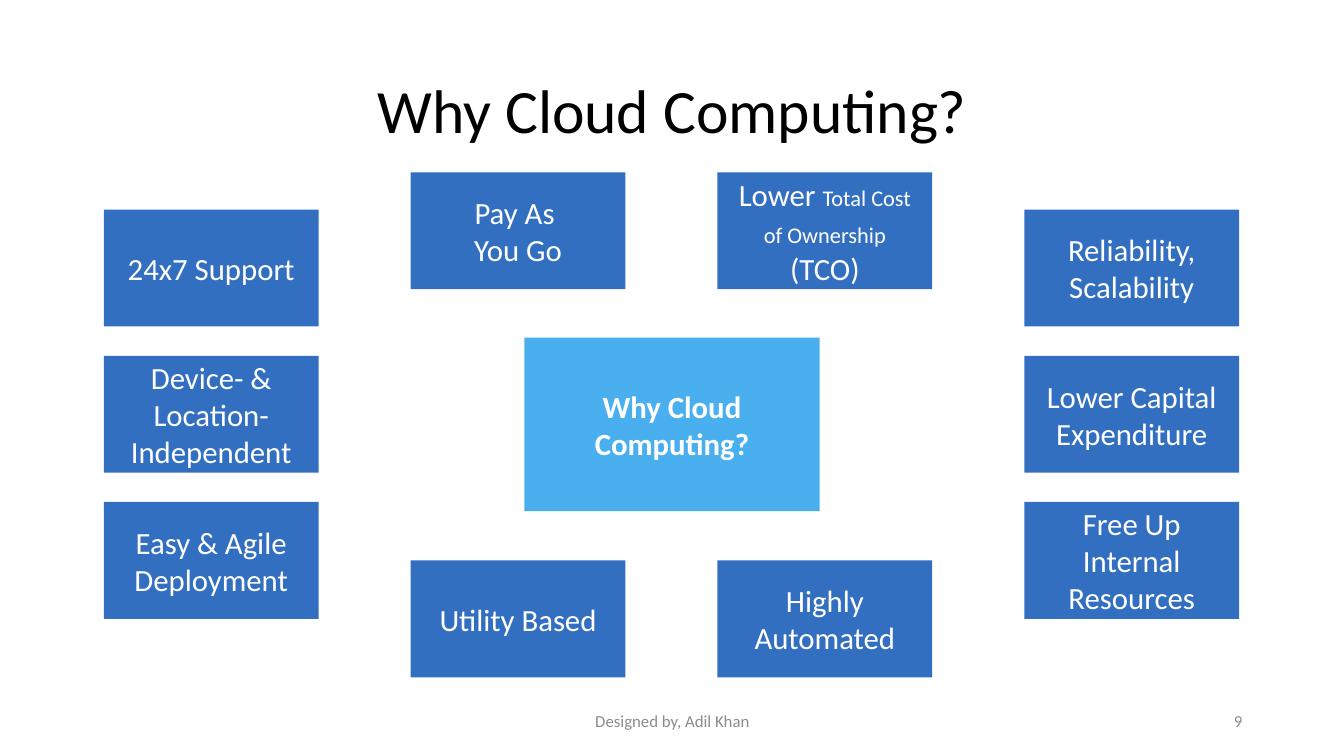
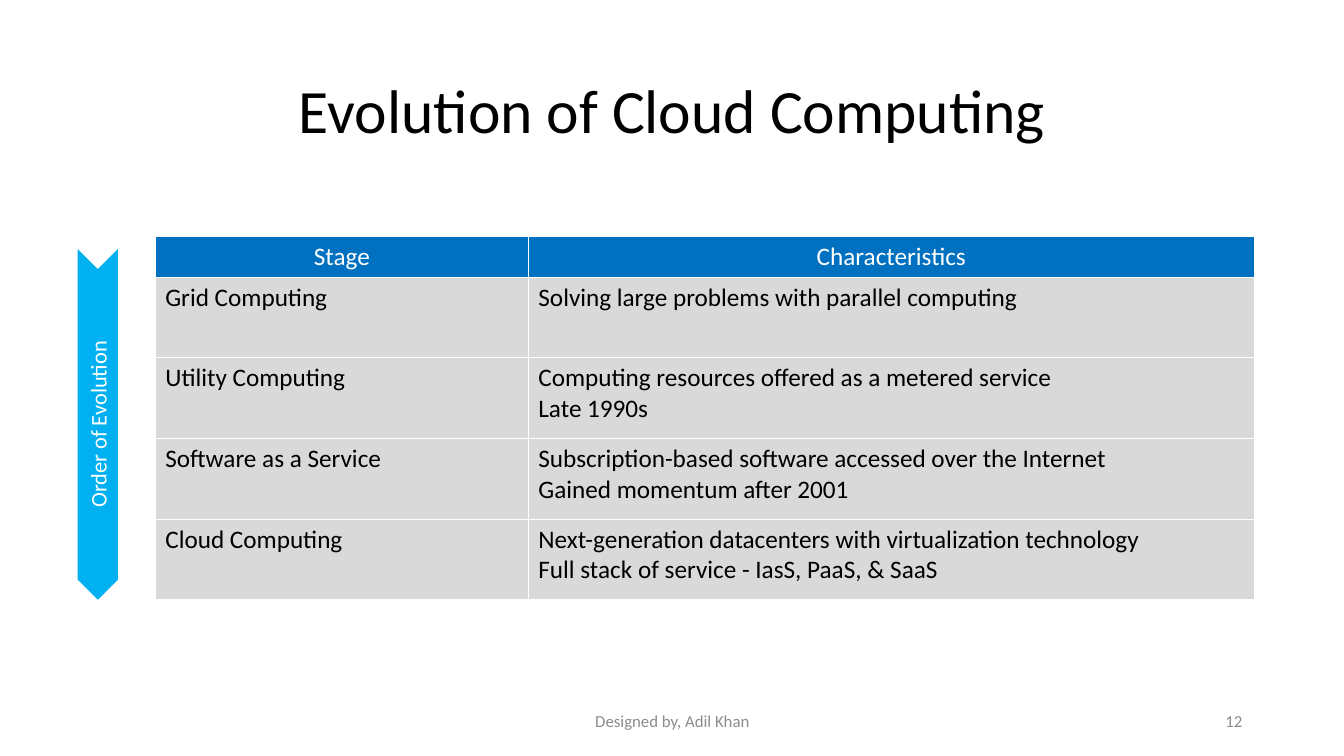
import pptx
import pptx.util
import pptx.dml.color
import pptx.enum.shapes
import pptx.enum.text
import pptx.oxml
import pptx.oxml.ns

Inches, Pt = pptx.util.Inches, pptx.util.Pt
RGBColor = pptx.dml.color.RGBColor
SHAPE = pptx.enum.shapes.MSO_SHAPE
ALIGN = pptx.enum.text.PP_ALIGN

# Shared look
FONT = "Calibri"
BLACK = RGBColor(0x00, 0x00, 0x00)
WHITE = RGBColor(0xFF, 0xFF, 0xFF)
GRAY = RGBColor(0x8C, 0x8C, 0x8C)
BLUE = RGBColor(0x33, 0x6F, 0xC0)
LIGHT = RGBColor(0x49, 0xAF, 0xEF)
HEADER = RGBColor(0x00, 0x70, 0xC0)
CELL = RGBColor(0xD9, 0xD9, 0xD9)
ARROW = RGBColor(0x00, 0xB0, 0xF0)
WIDE, HIGH = 13.33, 7.5


def write(frame, text, size, color, align=ALIGN.CENTER, bold=False, small=16):
    """Fill a text frame; every second part between bars is set small."""
    frame.word_wrap = True
    frame.vertical_anchor = pptx.enum.text.MSO_ANCHOR.MIDDLE
    for row, line in enumerate(text.split("\n")):
        para = frame.add_paragraph() if row else frame.paragraphs[0]
        para.alignment = align
        para.font.name, para.font.size = FONT, Pt(size)
        para.font.bold, para.font.color.rgb = bold, color
        for part, words in enumerate(line.split("|")):
            run = para.add_run()
            run.text = words
            if part % 2:
                run.font.size = Pt(small)


def block(slide, kind, box, fill, text, size, bold=False):
    """Add a flat, filled shape with white text."""
    shape = slide.shapes.add_shape(kind, *map(Inches, box))
    shape.shadow.inherit = False
    shape.fill.solid()
    shape.fill.fore_color.rgb = fill
    shape.line.fill.background()
    write(shape.text_frame, text, size, WHITE, bold=bold)
    return shape


deck = pptx.Presentation()
deck.slide_width, deck.slide_height = Inches(WIDE), Inches(HIGH)

# Titles and footers
slides = []
for title, number in (("Why Cloud Computing?", "9"),
                      ("Evolution of Cloud Computing", "12")):
    slide = deck.slides.add_slide(deck.slide_layouts[6])
    slides.append(slide)
    for box, text, size, color, align in (
            ((0.92, 0.4, 11.5, 1.45), title, 44, BLACK, ALIGN.CENTER),
            ((4.42, 6.95, 4.5, 0.4), "Designed by, Adil Khan", 12, GRAY, ALIGN.CENTER),
            ((9.42, 6.95, 3, 0.4), number, 12, GRAY, ALIGN.RIGHT)):
        frame = slide.shapes.add_textbox(*map(Inches, box)).text_frame
        write(frame, text, size, color, align)
        if text == title:
            frame.paragraphs[0].line_spacing = 0.9
reasons, stages = slides

# Reasons in four columns around the centre
LEFT, RIGHT = 1.03, 10.16
STEP = (RIGHT - LEFT) / 3
columns = (
    (2.08, 1.45, ("24x7 Support", "Device- & Location-Independent",
                  "Easy & Agile Deployment")),
    (1.71, 3.85, ("Pay As \nYou Go", "Utility Based")),
    (1.71, 3.85, ("Lower |Total Cost of Ownership| (TCO)", "Highly Automated")),
    (2.08, 1.45, ("Reliability, Scalability", "Lower Capital Expenditure",
                  "Free Up Internal Resources")),
)
for col, (top, pitch, texts) in enumerate(columns):
    for row, text in enumerate(texts):
        box = (LEFT + col * STEP, top + row * pitch, 2.13, 1.16)
        block(reasons, SHAPE.RECTANGLE, box, BLUE, text, 22)
block(reasons, SHAPE.RECTANGLE, (5.2, 3.35, 2.93, 1.72), LIGHT,
      "Why Cloud Computing?", 22, bold=True)

# Table of stages
data = (
    ("Stage", "Characteristics"),
    ("Grid Computing", "Solving large problems with parallel computing"),
    ("Utility Computing",
     "Computing resources offered as a metered service\nLate 1990s"),
    ("Software as a Service",
     "Subscription-based software accessed over the Internet\n"
     "Gained momentum after 2001"),
    ("Cloud Computing",
     "Next-generation datacenters with virtualization technology\n"
     "Full stack of service - IasS, PaaS, & SaaS"),
)
grid = stages.shapes.add_table(
    len(data), 2, Inches(1.54), Inches(2.35), Inches(10.9), Inches(3.6)).table
for col, width in enumerate((3.7, 7.2)):
    grid.columns[col].width = Inches(width)
for row, texts in enumerate(data):
    grid.rows[row].height = Inches(0.8 if row else 0.4)
    for col, text in enumerate(texts):
        cell = grid.cell(row, col)
        # White cell borders
        props = cell._tc.get_or_add_tcPr()
        for side in "LRTB":
            props.append(pptx.oxml.parse_xml(
                f'<a:ln{side} {pptx.oxml.ns.nsdecls("a")} w="12700"><a:solidFill>'
                f'<a:srgbClr val="{WHITE}"/></a:solidFill></a:ln{side}>'))
        cell.fill.solid()
        cell.fill.fore_color.rgb = CELL if row else HEADER
        write(cell.text_frame, text, 18, BLACK if row else WHITE,
              ALIGN.LEFT if row else ALIGN.CENTER)
        cell.vertical_anchor = pptx.enum.text.MSO_ANCHOR.TOP

# Arrow pointing down beside the table
arrow = block(stages, SHAPE.CHEVRON, (-0.77, 4.01, 3.48, 0.4), ARROW,
              "Order of Evolution", 16)
arrow.rotation = 270
arrow.element.spPr.get_or_add_xfrm().set("flipH", "1")

deck.save("out.pptx")
